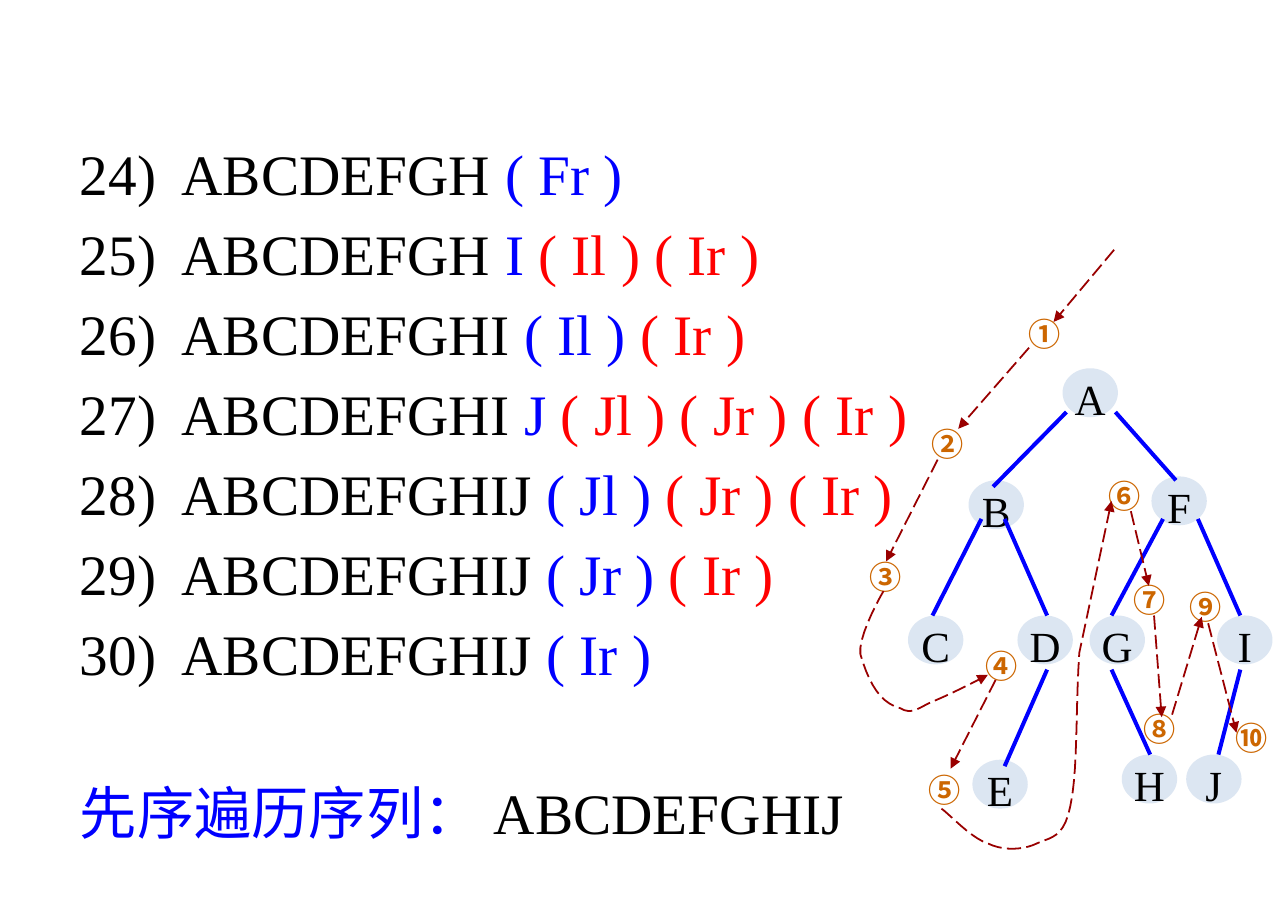
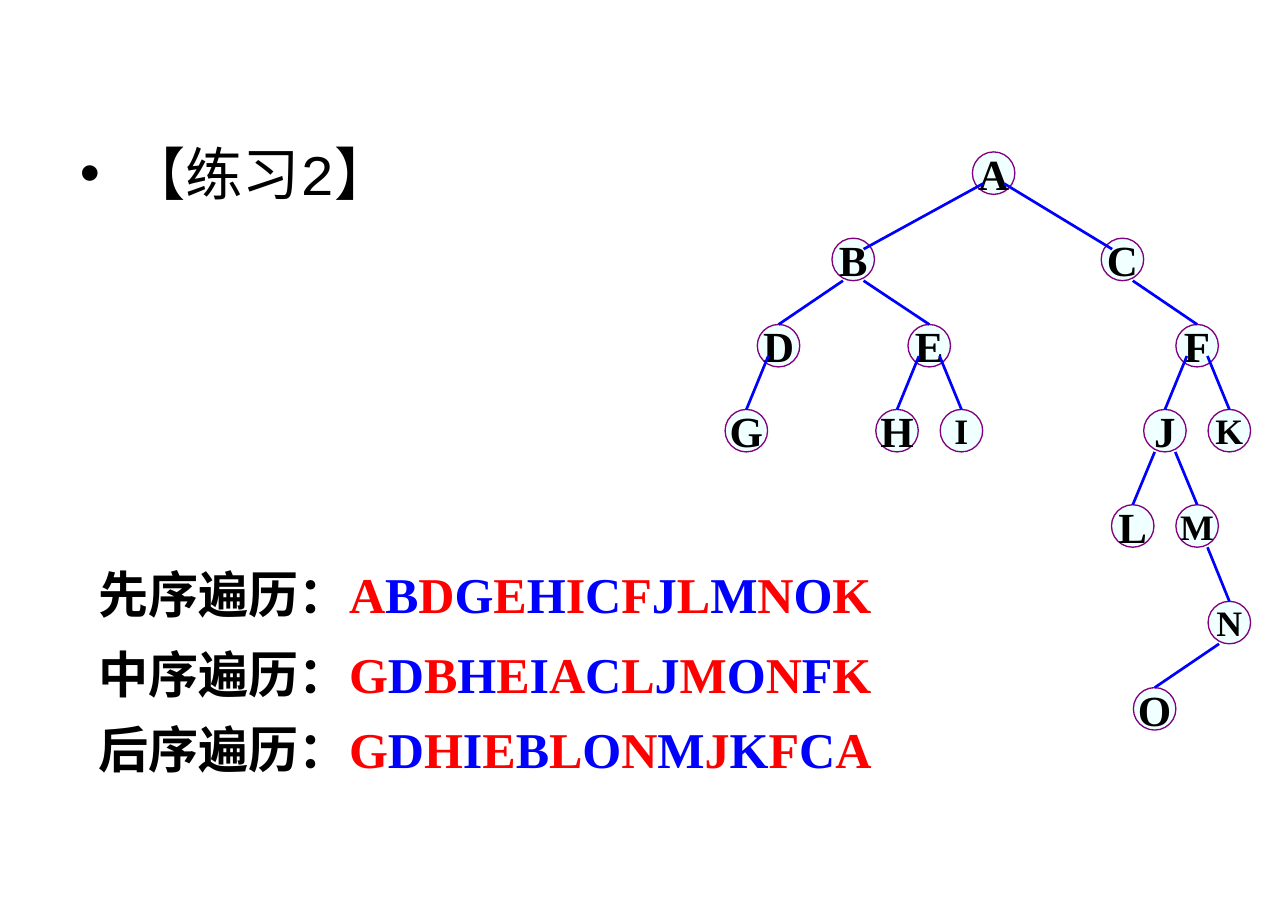
from lxml import etree
from pptx import Presentation
from pptx.dml.color import RGBColor
from pptx.enum import dml, shapes, text
from pptx.oxml.ns import qn
from pptx.util import Inches, Pt

BLACK = RGBColor(0x00, 0x00, 0x00)
BLUE = RGBColor(0x00, 0x00, 0xFF)
RED = RGBColor(0xFF, 0x00, 0x00)
DARK_RED = RGBColor(0x99, 0x00, 0x00)
ORANGE = RGBColor(0xCC, 0x66, 0x00)
PURPLE = RGBColor(0x80, 0x00, 0x80)
PALE_BLUE = RGBColor(0xDC, 0xE6, 0xF2)
AZURE = RGBColor(0xF0, 0xFF, 0xFF)
SERIF = "Times New Roman"
MONO = "Courier New"
CJK = "Noto Sans CJK SC"


def add_run(p, content, size=24, color=BLACK, font=SERIF, bold=False):
    r = p.add_run()
    r.text = content
    r.font.size, r.font.name, r.font.bold = Pt(size), font, bold
    r.font.color.rgb = color
    latin = r.font._element.find(qn("a:latin"))
    ea = etree.Element(qn("a:ea"), typeface=CJK)
    latin.addnext(ea)
    return r


def bezier(start, curves, steps=10):
    """Points along joined cubic curves, each given as two controls and an end."""
    points = [start]
    for a, b, end in curves:
        for i in range(1, steps + 1):
            t = i / steps
            weights = (1 - t) ** 3, 3 * t * (1 - t) ** 2, 3 * t * t * (1 - t), t ** 3
            points.append(tuple(sum(w * q[k] for w, q in zip(weights, (start, a, b, end)))
                                for k in (0, 1)))
        start = end
    return points


class Deck:
    def __init__(self):
        self.prs = Presentation()
        self.prs.slide_width, self.prs.slide_height = Inches(10), Inches(7.09)
        self.s = None

    def slide(self, body_height):
        """Start a slide without a title and return its body placeholder's text frame."""
        self.s = self.prs.slides.add_slide(self.prs.slide_layouts[1])
        title = self.s.shapes.title.element
        title.getparent().remove(title)
        body = self.s.placeholders[1]
        body.left, body.top = Inches(0.52), Inches(1.02)
        body.width, body.height = Inches(9), Inches(body_height)
        tf = body.text_frame
        tf.auto_size = text.MSO_AUTO_SIZE.NONE
        return tf

    def textbox(self, x, y, w, h):
        sp = self.s.shapes.add_textbox(Inches(x), Inches(y), Inches(w), Inches(h))
        sp.text_frame.word_wrap = True
        return sp.text_frame.paragraphs[0]

    def node(self, label, x, y, w, h, fill, outline=None, spacing=None, **style):
        sp = self.s.shapes.add_shape(shapes.MSO_SHAPE.OVAL, Inches(x), Inches(y),
                                     Inches(w), Inches(h))
        sp.shadow.inherit = False
        sp.fill.solid()
        sp.fill.fore_color.rgb = fill
        if outline is None:
            sp.line.fill.background()
        else:
            sp.line.color.rgb, sp.line.width = outline, Pt(0.75)
        tf = sp.text_frame
        tf.word_wrap = False
        tf.vertical_anchor = text.MSO_ANCHOR.MIDDLE
        p = tf.paragraphs[0]
        p.alignment, p.line_spacing = text.PP_ALIGN.CENTER, spacing
        add_run(p, label, **style)
        return sp

    def line(self, start, end, width, color=BLUE):
        c = self.s.shapes.add_connector(shapes.MSO_CONNECTOR.STRAIGHT,
                                        *(Inches(v) for v in (*start, *end)))
        etree.SubElement(c._element.spPr, qn("a:effectLst"))
        c.line.color.rgb, c.line.width = color, Pt(width)
        return c

    def dash_arrow(self, sp):
        sp.line.color.rgb, sp.line.width = DARK_RED, Pt(1)
        sp.line.dash_style = dml.MSO_LINE.LONG_DASH
        etree.SubElement(sp.line._get_or_add_ln(), qn("a:tailEnd"), type="triangle")

    def visit_arrow(self, start, end):
        self.dash_arrow(self.line(start, end, 1))

    def visit_curve(self, points):
        points = [(Inches(x), Inches(y)) for x, y in points]
        builder = self.s.shapes.build_freeform(*points[0], scale=1.0)
        builder.add_line_segments(points[1:], close=False)
        sp = builder.convert_to_shape()
        sp.shadow.inherit = False
        sp.fill.background()
        self.dash_arrow(sp)


def preorder_slide(deck):
    tf = deck.slide(5.59)
    # visited so far, current step, steps still waiting
    steps = [("ABCDEFGH ", "( Fr )", ""),
             ("ABCDEFGH ", "I ", "( Il ) ( Ir )"),
             ("ABCDEFGHI ", "( Il ) ", "( Ir )"),
             ("ABCDEFGHI ", "J ", "( Jl ) ( Jr ) ( Ir )"),
             ("ABCDEFGHIJ ", "( Jl ) ", "( Jr ) ( Ir )"),
             ("ABCDEFGHIJ ", "( Jr )", " ( Ir )"),
             ("ABCDEFGHIJ ", "( Ir )", "")]
    rows = [[(f"{n})  {done}", BLACK), (now, BLUE), (waiting, RED)]
            for n, (done, now, waiting) in enumerate(steps, 24)]
    rows.append([("先序遍历序列： ", BLUE), ("ABCDEFGHIJ", BLACK)])
    for i, row in enumerate(rows):
        p = tf.add_paragraph() if i else tf.paragraphs[0]
        etree.SubElement(p._p.get_or_add_pPr(), qn("a:buNone"))
        for content, color in row:
            if content:
                add_run(p, content, size=32, color=color)
    p.space_before = Pt(50)

    nodes = {"A": (8.25, 2.86), "B": (7.52, 3.73), "C": (7.05, 4.78), "D": (7.9, 4.78),
             "E": (7.55, 5.9), "F": (8.94, 3.7), "G": (8.46, 4.78), "H": (8.71, 5.86),
             "I": (9.45, 4.78), "J": (9.21, 5.86)}
    for label, (x, y) in nodes.items():
        deck.node(label, x, y, 0.43, 0.38, PALE_BLUE, spacing=1.2)
    edges = [((8.28, 3.2), (7.71, 3.78)), ((8.66, 3.2), (9.13, 3.73)),
             ((7.62, 4.03), (7.24, 4.78)), ((7.8, 4.03), (8.13, 4.78)),
             ((9.03, 4.03), (8.63, 4.78)), ((9.3, 4.03), (9.63, 4.78)),
             ((8.13, 5.2), (7.8, 5.95)), ((8.63, 5.2), (8.93, 5.86)),
             ((9.63, 5.2), (9.46, 5.86))]
    for start, end in edges:
        deck.line(start, end, 2.25)

    visits = [(7.89, 2.39), (7.13, 3.25), (6.65, 4.28), (7.55, 4.97), (7.11, 5.93),
              (8.51, 3.65), (8.7, 4.46), (8.78, 5.46), (9.14, 4.51), (9.49, 5.53)]
    for number, (x, y) in zip("①②③④⑤⑥⑦⑧⑨⑩", visits):
        add_run(deck.textbox(x, y, 0.49, 0.4), number, size=18, color=ORANGE,
                font=CJK, bold=True)
    arrows = [((8.65, 1.94), (8.18, 2.5)), ((7.99, 2.7), (7.44, 3.33)),
              ((7.28, 3.57), (6.88, 4.36)), ((7.73, 5.28), (7.38, 5.97)),
              ((8.78, 3.97), (8.92, 4.55)), ((8.96, 4.78), (9.02, 5.57)),
              ((9.1, 5.55), (9.33, 4.79)), ((9.38, 4.84), (9.6, 5.69))]
    for start, end in arrows:
        deck.visit_arrow(start, end)
    deck.visit_curve(bezier((6.86, 4.59), [
        ((6.86, 4.59), (6.66, 4.93), (6.68, 5.08)),
        ((6.75, 5.32), (6.84, 5.46), (6.99, 5.5)),
        ((7.09, 5.56), (7.15, 5.48), (7.26, 5.44)),
        ((7.38, 5.39), (7.6, 5.28), (7.67, 5.24))]))
    deck.visit_curve(bezier((7.31, 6.28), [
        ((7.37, 6.32), (7.54, 6.51), (7.67, 6.55)),
        ((7.79, 6.61), (7.95, 6.6), (8.05, 6.55)),
        ((8.16, 6.5), (8.26, 6.51), (8.31, 6.26)),
        ((8.37, 5.99), (8.35, 5.51), (8.38, 5.07))]) + [(8.63, 3.89)])


def exercise_slide(deck):
    tf = deck.slide(4.68)
    add_run(tf.paragraphs[0], "【练习2】", size=32, font=MONO)

    size, inset = 0.33, 0.08
    places = {"A": (7.55, 1.18), "B": (6.46, 1.85), "C": (8.55, 1.85), "D": (5.88, 2.52),
              "E": (7.05, 2.52), "F": (9.13, 2.52), "G": (5.63, 3.18), "H": (6.8, 3.18),
              "I": (7.3, 3.18), "J": (8.88, 3.18), "K": (9.38, 3.18), "L": (8.63, 3.92),
              "M": (9.13, 3.92), "N": (9.38, 4.67), "O": (8.8, 5.34)}
    nodes = {label: deck.node(label, x, y, size, size, AZURE, outline=PURPLE, bold=True,
                              size=20 if label in "IKMN" else 24)
             for label, (x, y) in places.items()}
    centres = {label: (x + size / 2, y + size / 2) for label, (x, y) in places.items()}
    for parent, child in "AB AC BD BE CF DG EH EI FJ FK JL JM MN NO".split():
        (x1, y1), (x2, y2) = centres[parent], centres[child]
        side = inset if x2 > x1 else -inset
        drop = inset if parent in "ADEF" else size / 2
        c = deck.line((x1 + side, y1 + drop), (x2 - side, y2 - inset), 1.5)
        if parent != "A":
            c.end_connect(nodes[child], 0)

    orders = [(4.33, "先序遍历：", "ABDGEHICFJLMNOK"),
              (4.95, "中序遍历：", "GDBHEIACLJMONFK"),
              (5.53, "后序遍历：", "GDHIEBLONMJKFCA")]
    for y, name, letters in orders:
        p = deck.textbox(0.67, y, 6.47, 0.57)
        add_run(p, name, size=28, bold=True)
        for i, letter in enumerate(letters):
            add_run(p, letter, size=28, color=BLUE if i % 2 else RED, bold=True)


def main():
    deck = Deck()
    preorder_slide(deck)
    exercise_slide(deck)
    deck.prs.save("out.pptx")


if __name__ == "__main__":
    main()
